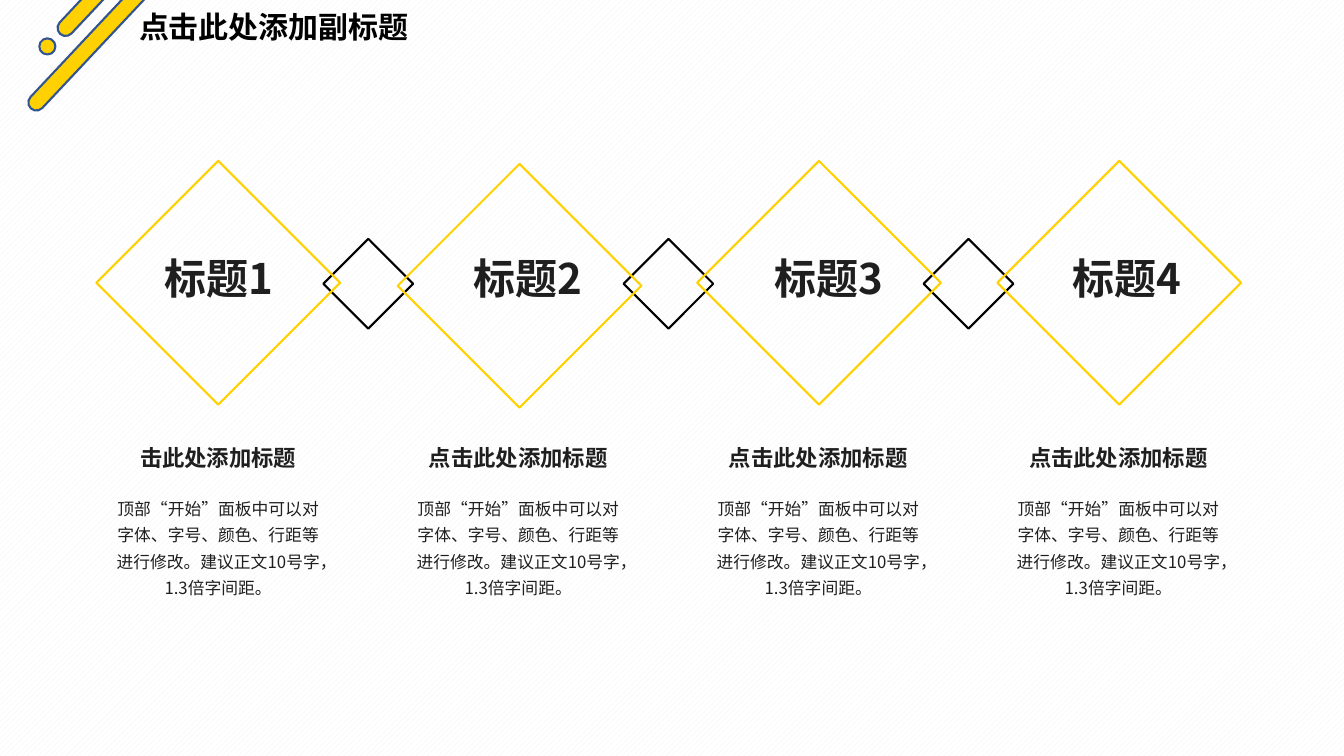
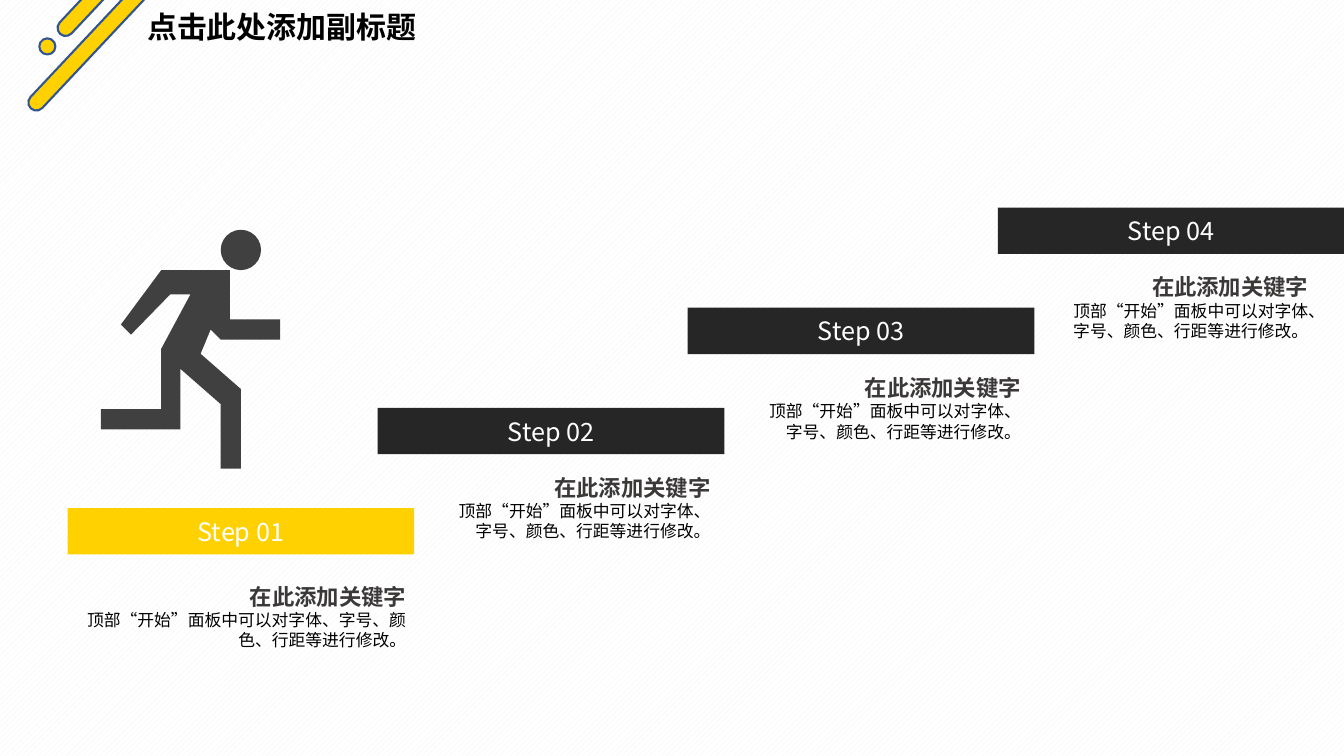
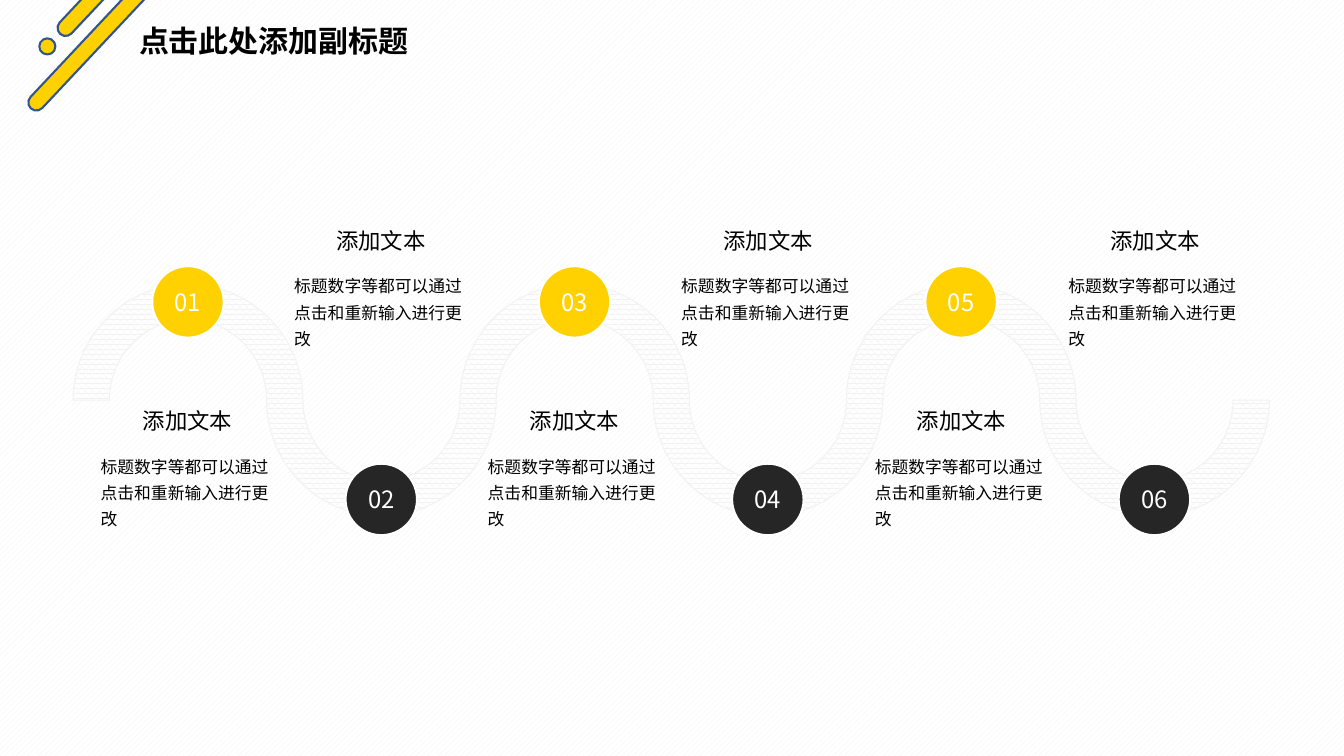
from lxml import etree
from pptx import Presentation
from pptx import util as u
from pptx.dml.color import RGBColor
from pptx.enum import dml, shapes, text
from pptx.oxml.ns import qn

YELLOW = RGBColor(0xFF, 0xD1, 0x00)
BLUE = RGBColor(0x32, 0x54, 0x91)
BLACK = RGBColor(0x00, 0x00, 0x00)
WHITE = RGBColor(0xFF, 0xFF, 0xFF)
PALE = RGBColor(0xF2, 0xF2, 0xF2)
INK = RGBColor(0x1F, 0x1F, 0x1F)
DARK = RGBColor(0x26, 0x26, 0x26)
RUNNER = RGBColor(0x40, 0x40, 0x40)
KEYWORD = RGBColor(0x3B, 0x38, 0x38)

FONT = "Noto Sans CJK SC"
SHAPE = shapes.MSO_SHAPE
PATTERN = dml.MSO_PATTERN
CENTER, RIGHT = text.PP_ALIGN.CENTER, text.PP_ALIGN.RIGHT
MIDDLE = text.MSO_ANCHOR.MIDDLE
GROW = text.MSO_AUTO_SIZE.SHAPE_TO_FIT_TEXT
WIDE_INSETS = {"margin_left": u.Inches(0.13), "margin_right": u.Inches(0.13),
               "margin_top": u.Inches(0.07), "margin_bottom": u.Inches(0.07)}
ARC = 0.55  # handle length of a quarter ellipse, as a share of its radius

RUNNER_BODY = [
    (1.3, 3.32), (1.69, 2.92), (1.89, 2.92), (1.6, 3.46), (1.6, 4.06), (1, 4.06),
    (1, 4.26), (1.79, 4.26), (1.79, 3.66), (2.19, 4.01), (2.19, 4.65), (2.39, 4.65),
    (2.39, 3.86), (1.99, 3.51), (2.09, 3.27), (2.19, 3.37), (2.78, 3.37),
    (2.78, 3.17), (2.28, 3.17), (2.28, 2.68), (1.6, 2.68), (1.2, 3.22),
]


def set_all(obj, values):
    for name, value in values.items():
        setattr(obj, name, value)


def set_pattern(fill, pattern):
    fill.patterned()
    fill.pattern = pattern
    fill.fore_color.rgb = PALE
    fill.back_color.rgb = WHITE


def paint(sp, fill=None, line=None, width=1.5):
    sp.shadow.inherit = False
    if fill is None:
        sp.fill.background()
    else:
        sp.fill.solid()
        sp.fill.fore_color.rgb = fill
    if line is None:
        sp.line.fill.background()
    else:
        sp.line.color.rgb = line
        sp.line.width = u.Pt(width)


def add_shape(slide, kind, box, rotation=0, **look):
    sp = slide.shapes.add_shape(kind, *map(u.Inches, box))
    sp.rotation = rotation
    paint(sp, **look)
    return sp


def add_outline(slide, points):
    """Closed outline through points given in inches."""
    first, *rest = [(u.Inches(x), u.Inches(y)) for x, y in points]
    builder = slide.shapes.build_freeform(*first)
    builder.add_line_segments(rest, close=True)
    return builder.convert_to_shape()


def round_segments(sp):
    """Turn each sloping segment into a quarter ellipse, upright at the first point's height."""
    points = list(sp.element.iter(qn("a:pt")))
    spots = [(int(pt.get("x")), int(pt.get("y"))) for pt in points]
    mid_y = spots[0][1]
    for pt, (x0, y0), (x1, y1) in zip(points[1:], spots, spots[1:]):
        if y0 == y1:
            continue
        if y0 == mid_y:
            handles = (x0, y0 + ARC * (y1 - y0)), (x1 - ARC * (x1 - x0), y1)
        else:
            handles = (x0 + ARC * (x1 - x0), y0), (x1, y1 - ARC * (y1 - y0))
        segment = pt.getparent()
        segment.tag = qn("a:cubicBezTo")
        for i, (x, y) in enumerate(handles):
            handle = etree.Element(qn("a:pt"), x=str(round(x)), y=str(round(y)))
            segment.insert(i, handle)


def write(p, words, size, color, bold=False, **para):
    set_all(p, para)
    r = p.add_run()
    r.text = words
    set_all(r.font, {"size": u.Pt(size), "bold": bold, "name": FONT})
    r.font.color.rgb = color
    etree.SubElement(r.font._element, qn("a:ea"), typeface=FONT)


def add_text(slide, box, paragraphs, **frame):
    """Text box; each paragraph is a dict of arguments for write()."""
    tf = slide.shapes.add_textbox(*map(u.Inches, box)).text_frame
    set_all(tf, {"word_wrap": True, **frame})
    for i, paragraph in enumerate(paragraphs):
        write(tf.add_paragraph() if i else tf.paragraphs[0], **paragraph)


def add_label(sp, words, size):
    tf = sp.text_frame
    tf.vertical_anchor = MIDDLE
    write(tf.paragraphs[0], words, size, WHITE, alignment=CENTER)


def add_title(slide, left, top):
    add_text(slide, (left, top, 3.15, 0.5),
             [dict(words="点击此处添加副标题", size=21.4, color=BLACK, bold=True, line_spacing=1.1)],
             vertical_anchor=MIDDLE, auto_size=GROW, **WIDE_INSETS)


def decorate_layout(layout, slide):
    """Draw the corner ornament on a slide, then move it to the layout."""
    for ph in list(layout.placeholders):
        layout.shapes.element.remove(ph.element)
    look = dict(fill=YELLOW, line=BLUE)
    ornament = [add_shape(slide, SHAPE.ROUNDED_RECTANGLE, (left, top, 6.38, 0.16), 313.2, **look)
                for left, top in ((-0.7, -1.33), (-0.41, -2.07))]
    for bar in ornament:
        bar.adjustments[0] = 0.5
    ornament.append(add_shape(slide, SHAPE.OVAL, (0.39, 0.38, 0.16, 0.16), 270, **look))
    for sp in ornament:
        layout.shapes.element.append(sp.element)


def build_diamonds(slide):
    first_left, last_left = 1.01, 9.94
    pitch = (last_left - first_left) / 3
    for i in range(3):
        add_shape(slide, SHAPE.RECTANGLE, (3.34 + pitch * i, 2.5, 0.63, 0.63), 315, line=BLACK)
    headings = ["击此处添加标题"] + ["点击此处添加标题"] * 3
    body = "顶部“开始”面板中可以对字体、字号、颜色、行距等进行修改。建议正文10号字，1.3倍字间距。"
    for i, heading in enumerate(headings):
        left = first_left + pitch * i
        add_text(slide, (left, 4.84, 2.31, 1.15),
                 [dict(words=body, size=12, color=INK, alignment=CENTER,
                       line_spacing=1.3, space_before=u.Pt(8))], auto_size=GROW)
        add_text(slide, (left, 4.36, 2.31, 0.37),
                 [dict(words=heading, size=16, color=INK, bold=True, alignment=CENTER)],
                 auto_size=GROW)
    diamonds = [(1.31, 1.95, 1.52), (4.3, 1.98, 4.59), (7.27, 1.95, 7.57), (10.25, 1.95, 10.53)]
    for i, (left, top, label_left) in enumerate(diamonds, 1):
        add_shape(slide, SHAPE.RECTANGLE, (left, top, 1.71, 1.71), 315, line=YELLOW)
        add_text(slide, (label_left, 2.46, 1.3, 0.61),
                 [dict(words=f"标题{i}", size=30, color=INK, bold=True, alignment=CENTER)],
                 auto_size=GROW)
    add_title(slide, 1.25, 0)


def build_steps(slide):
    paint(add_outline(slide, RUNNER_BODY), RUNNER)
    add_shape(slide, SHAPE.OVAL, (2.19, 2.28, 0.4, 0.4), fill=RUNNER)
    first, last = (0.67, 5.04), (9.9, 2.06)
    pitch, rise = (last[0] - first[0]) / 3, (first[1] - last[1]) / 3
    for i in range(4):
        bar = add_shape(slide, SHAPE.RECTANGLE,
                        (first[0] + pitch * i, first[1] - rise * i, 3.44, 0.46),
                        fill=DARK if i else YELLOW)
        add_label(bar, f"Step {i + 1:02}", 18)
    caption = [
        dict(words="在此添加关键字", size=16, color=KEYWORD, bold=True,
             alignment=RIGHT, line_spacing=1.5),
        dict(words="顶部“开始”面板中可以对字体、字号、颜色、行距等进行修改。", size=12,
             color=BLACK, alignment=RIGHT),
    ]
    for box in [(0.67, 5.58, 3.49), (4.33, 4.5, 2.85), (7.41, 3.51, 2.85), (10.49, 2.51, 2.62)]:
        add_text(slide, (*box, 0.94), caption, auto_size=GROW, **WIDE_INSETS)
    add_title(slide, 1.33, 0)


def wave_points(centers, mid_y, outer, inner):
    """Corners and crests of a band of half ellipses: along one edge, back along the other."""
    def edge(upper, lower):
        points = [(centers[0] - upper[0], mid_y)]
        for k, x in enumerate(centers):
            rx, ry = lower if k % 2 else upper
            points += [(x, mid_y + ry if k % 2 else mid_y - ry), (x + rx, mid_y)]
        return points
    return edge(outer, inner) + edge(inner, outer)[::-1]


def build_wave(slide):
    first_left, fifth_left, size = 1.51, 9.18, 0.71
    lefts = [first_left + (fifth_left - first_left) / 4 * k for k in range(6)]
    centers = [left + size / 2 for left in lefts]
    band = add_outline(slide, wave_points(centers, 3.97, (1.14, 1.15), (0.78, 0.8)))
    round_segments(band)
    paint(band, line=PALE, width=0.75)
    set_pattern(band.fill, PATTERN.PERCENT_70)
    column = 1.92
    for i, left in enumerate(lefts):
        circle_top, text_top, color = (4.6, 2.14, DARK) if i % 2 else (2.64, 3.93, YELLOW)
        circle = add_shape(slide, SHAPE.OVAL, (left, circle_top, size, size),
                           fill=color, line=WHITE)
        circle.text_frame.word_wrap = False
        add_label(circle, f"{i + 1:02}", 17)
        text_left = 0.9 + column * i
        add_text(slide, (text_left, text_top, column, 0.49),
                 [dict(words="添加文本", size=16, color=BLACK, alignment=CENTER)],
                 vertical_anchor=MIDDLE)
        add_text(slide, (text_left, text_top + 0.49, column, 1.39),
                 [dict(words="标题数字等都可以通过点击和重新输入进行更改", size=12,
                       color=BLACK, line_spacing=1.3)])
    add_title(slide, 1.25, 0.13)


def main():
    prs = Presentation()
    set_all(prs, {"slide_width": u.Inches(7.5 * 16 / 9), "slide_height": u.Inches(7.5)})
    set_pattern(prs.slide_master.background.fill, PATTERN.WIDE_UPWARD_DIAGONAL)
    blank = prs.slide_layouts[6]
    builders = (build_diamonds, build_steps, build_wave)
    slides = [prs.slides.add_slide(blank) for _ in builders]
    decorate_layout(blank, slides[0])
    for build, slide in zip(builders, slides):
        build(slide)
    prs.save("out.pptx")


if __name__ == "__main__":
    main()
